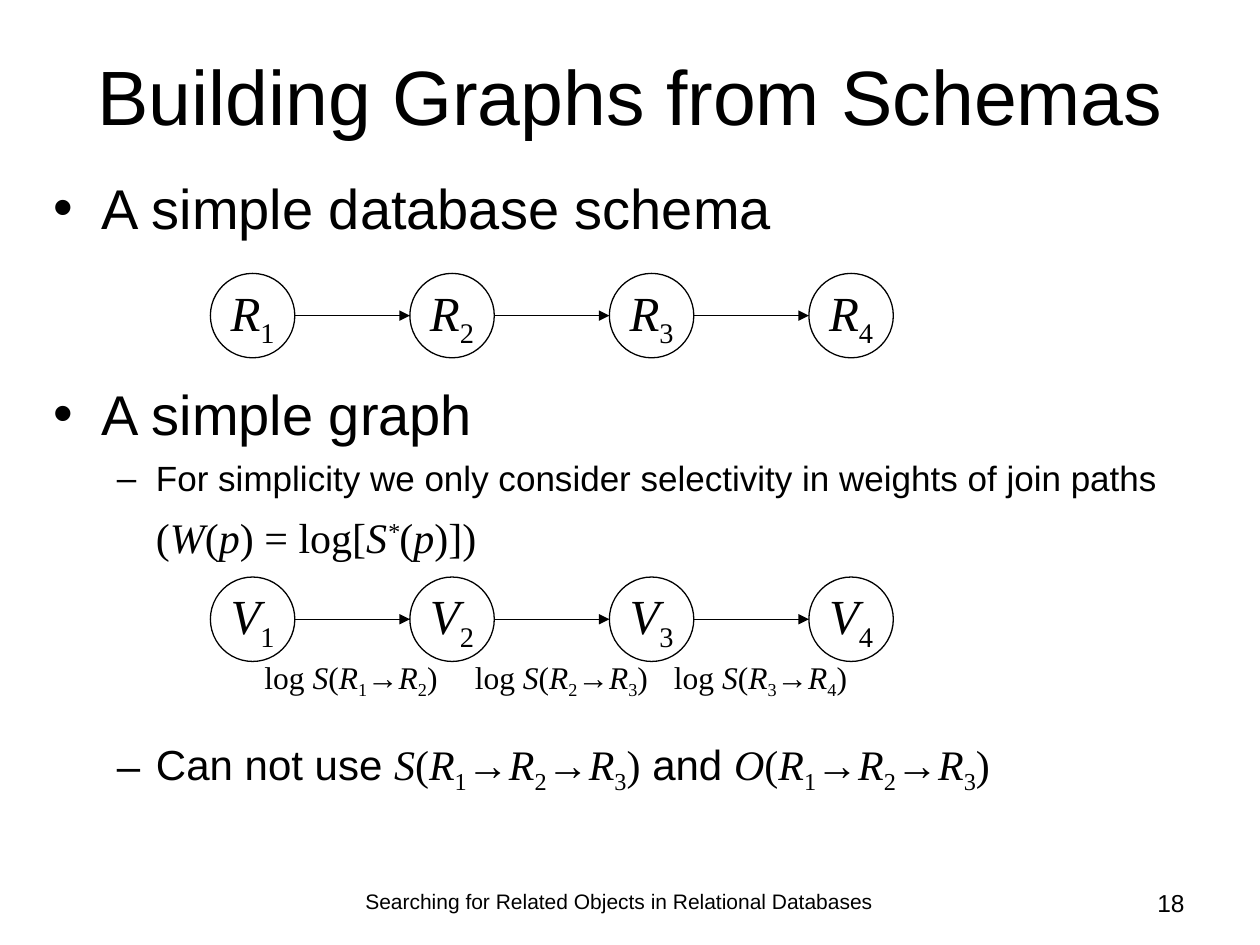
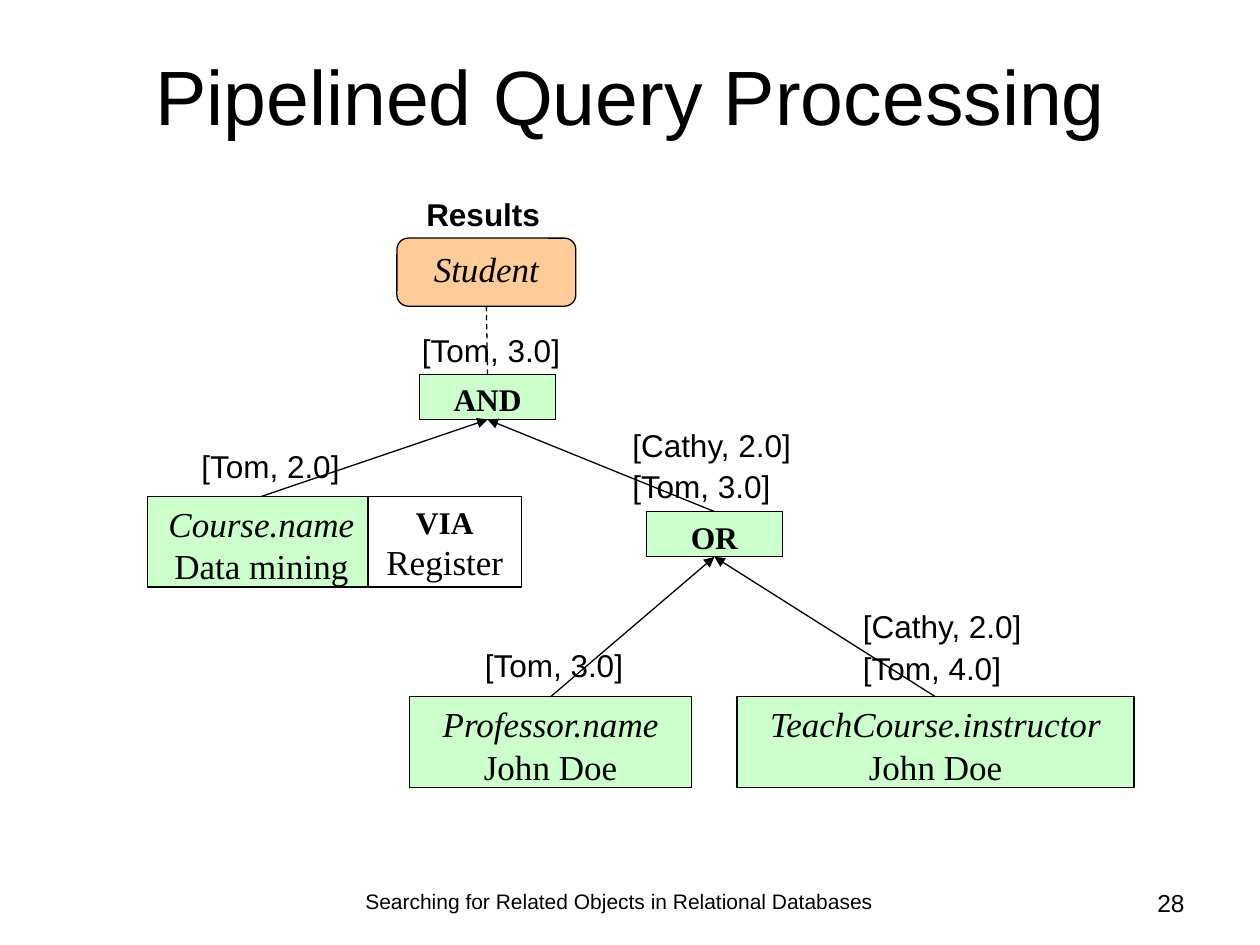
from dataclasses import dataclass
from lxml.etree import SubElement
from pptx import Presentation
from pptx.dml.color import RGBColor as Rgb
from pptx.enum.dml import MSO_LINE as Dash
from pptx.enum.shapes import MSO_CONNECTOR as Conn, MSO_SHAPE as Kind
from pptx.enum.text import MSO_ANCHOR as Anchor, MSO_AUTO_SIZE as Fit, PP_ALIGN as Align
from pptx.oxml.ns import qn
from pptx.util import Inches, Pt


@dataclass(frozen=True)
class Theme:
    """Colours, fonts and type sizes that the slides share."""
    ink: Rgb = Rgb(0, 0, 0)
    paper: Rgb = Rgb(255, 255, 255)
    green: Rgb = Rgb(0xCC, 0xFF, 0xCC)
    peach: Rgb = Rgb(0xFF, 0xCC, 0x99)
    sans: str = "Arial"
    serif: str = "Times New Roman"
    title: int = 44
    head: int = 32
    node: int = 28
    math: int = 24
    text: int = 20
    label: int = 18
    page: int = 14
    foot: int = 12
    rule: float = 0.75


T = Theme()
FOOTER = "Searching for Related Objects in Relational Databases"


def add_run(para, text, size, font, style=""):
    """Add a run; style letters: b bold, i italic, d lowered, u raised."""
    run = para.add_run()
    run.text = text
    face = run.font
    face.size, face.name, face.color.rgb = Pt(size), font, T.ink
    face.bold, face.italic = "b" in style, "i" in style
    shift = {"d": "-25000", "u": "30000"}.get(style[-1:])
    if shift:
        run._r.get_or_add_rPr().set("baseline", shift)


def fill_text(shape, lines, align=Align.LEFT, anchor=Anchor.TOP, wrap=True, gap=0):
    """Write lines of (text, size, font, style) runs into a shape."""
    frame = shape.text_frame
    frame.auto_size, frame.word_wrap = Fit.NONE, wrap
    frame.vertical_anchor = anchor
    for i, runs in enumerate(lines):
        para = frame.paragraphs[0] if i == 0 else frame.add_paragraph()
        para.alignment = align
        para.space_before = Pt(gap if i else 0)
        for run in runs:
            add_run(para, *run)


def add_text(slide, box, lines, **opts):
    """Place a text box."""
    shape = slide.shapes.add_textbox(*map(Inches, box))
    fill_text(shape, lines, **opts)
    return shape


def add_node(slide, kind, box, fill, lines, **opts):
    """Place a filled shape with a thin outline and centred text."""
    node = slide.shapes.add_shape(kind, *map(Inches, box))
    node.shadow.inherit = False
    node.fill.solid()
    node.fill.fore_color.rgb = fill
    node.line.color.rgb, node.line.width = T.ink, Pt(T.rule)
    fill_text(node, lines, align=Align.CENTER, **opts)
    return node


def add_line(slide, start=(0, 0), end=(0, 0), arrow=True):
    """Draw a straight line, with an arrowhead at its end or dashed."""
    line = slide.shapes.add_connector(Conn.STRAIGHT, *map(Inches, (*start, *end)))
    line.line.color.rgb, line.line.width = T.ink, Pt(T.rule)
    if arrow:
        SubElement(line.line._get_or_add_ln(), qn("a:tailEnd"), type="triangle")
    else:
        line.line.dash_style = Dash.DASH
    SubElement(line._element.spPr, qn("a:effectLst"))
    return line


def join(slide, low, high, arrow=True):
    """Join the top of the lower box to the bottom of the higher one."""
    line = add_line(slide, arrow=arrow)
    ends = (low, 0), (high, 2)
    first, last = ends if arrow else ends[::-1]
    line.begin_connect(*first)
    line.end_connect(*last)


def add_page(deck, title, number):
    """Add a slide with its title, footer and page number."""
    slide = deck.slides.add_slide(deck.slide_layouts[5])
    head = slide.shapes.title
    head.left, head.top, head.width, head.height = map(Inches, (0.17, 0.25, 9.67, 1))
    fill_text(head, [[(title, T.title, T.sans)]], align=Align.CENTER, anchor=Anchor.MIDDLE)
    add_text(slide, (2.5, 7, 4.83, 0.35), [[(FOOTER, T.foot, T.sans)]], align=Align.CENTER)
    add_text(slide, (7.42, 7, 2.08, 0.35), [[(number, T.page, T.sans)]], align=Align.RIGHT)
    return slide


def math_runs(size, *parts):
    """Turn (text, style) pairs into serif runs."""
    return [(text, size, T.serif, style) for text, style in parts]


def join_path(size, name, *steps):
    """Give the runs of a function over a path of relations."""
    parts = [(name, "i"), ("(", "")]
    for i, step in enumerate(steps):
        parts += [("→", "")] * (i > 0) + [("R", "i"), (str(step), "d")]
    return math_runs(size, *parts, (")", ""))


def add_points(slide, box):
    """Place the bullet text, leaving room for the two chains."""
    weight = math_runs(T.math, ("(", ""), ("W", "i"), ("(", ""), ("p", "i"), (") = log[", ""),
                       ("S", "i"), ("*", "iu"), ("(", ""), ("p", "i"), (")])", ""))
    limit = [("Can not use ", T.math, T.sans), *join_path(T.math, "S", 1, 2, 3),
             (" and ", T.math, T.sans), *join_path(T.math, "O", 1, 2, 3)]
    note = "For simplicity we only consider selectivity in weights of join paths"
    points = [
        ("•", 0, [("A simple database schema", T.head, T.sans)]),
        ("•", 79, [("A simple graph", T.head, T.sans)]),
        ("–", 6, [(note, T.text, T.sans)]),
        ("", 7, weight),
        ("–", 101, limit),
    ]
    body = add_text(slide, box, [runs for _, _, runs in points])
    for para, (mark, gap, _) in zip(body.text_frame.paragraphs, points):
        para.space_before = Pt(gap)
        left, hang = (0.38, 0.38) if mark == "•" else (0.81, 0.31 if mark else 0)
        props = para._p.get_or_add_pPr()
        props.set("marL", str(Inches(left)))
        props.set("indent", str(-Inches(hang)))
        if mark:
            SubElement(props, qn("a:buFont"), typeface=T.sans)
            SubElement(props, qn("a:buChar"), char=mark)


def add_chain(slide, box, name, count=4):
    """Spread numbered circles across the box and link them by arrows."""
    left, top, width, size = box
    pitch = (width - size) / (count - 1)
    spots = [left + pitch * i for i in range(count)]
    for i, x in enumerate(spots, 1):
        runs = math_runs(T.node, (name, "i"), (str(i), "d"))
        add_node(slide, Kind.OVAL, (x, top, size, size), T.paper, [runs],
                 anchor=Anchor.MIDDLE, wrap=False)
    mid = top + size / 2
    for x, after in zip(spots, spots[1:]):
        add_line(slide, (x + size, mid), (after, mid))


def add_weights(slide, box):
    """Place the weight of each edge under the graph."""
    left, top, width, height = box
    for i, shift in enumerate((0, 1.67, 3.25), 1):
        runs = [("log ", T.label, T.serif), *join_path(T.label, "S", i, i + 1)]
        add_text(slide, (left + shift, top, width, height), [runs])


def build_graphs(deck):
    """Build the slide on schemas and graphs."""
    slide = add_page(deck, "Building Graphs from Schemas", "18")
    add_points(slide, (0.33, 1.33, 9.5, 5.58))
    add_chain(slide, (1.67, 2.17, 5.42, 0.67), "R")
    add_chain(slide, (1.67, 4.58, 5.42, 0.67), "V")
    add_weights(slide, (2, 5.17, 1.75, 0.33))


def add_tree(slide, box):
    """Place the operator tree and its links."""
    left, top, _, _ = box

    def node(x, y, wide, high, *lines, fill=T.green, kind=Kind.RECTANGLE):
        """Place one node relative to the tree."""
        return add_node(slide, kind, (left + x, top + y, wide, high), fill, lines)

    def gate(x, y, word):
        """Place one logical operator."""
        return node(x, y, 1.08, 0.36, [(word, T.label, T.serif, "b")])

    def leaf(x, y, wide, field, value):
        """Place one field with the value sought in it."""
        return node(x, y, wide, 0.72, [(field, T.text, T.serif, "i")],
                    [(value, T.text, T.serif)])

    root = node(1.98, 0, 1.42, 0.54, [("Student", T.text, T.serif, "i")],
                fill=T.peach, kind=Kind.ROUNDED_RECTANGLE)
    both = gate(2.16, 1.08, "AND")
    course = leaf(0, 2.05, 1.81, "Course.name", "Data mining")
    prof = leaf(2.08, 3.64, 2.24, "Professor.name", "John Doe")
    node(1.75, 2.05, 1.22, 0.72, [("VIA", T.label, T.serif, "b")],
         [("Register", T.text, T.serif)], fill=T.paper)
    teach = leaf(4.68, 3.64, 3.15, "TeachCourse.instructor", "John Doe")
    either = gate(3.96, 2.17, "OR")
    join(slide, both, root, arrow=False)
    for low, high in ((course, both), (either, both), (prof, either), (teach, either)):
        join(slide, low, high)


def add_scores(slide, box):
    """Place the heading and the scored tuples beside the links."""
    left, top, _, _ = box
    add_text(slide, (left + 1.58, top - 0.39, 2.17, 0.46),
             [[("Results", T.label, T.sans, "b")]], align=Align.CENTER)
    scores = [
        (2.58, 3.19, ["[Tom, 3.0]"]),
        (5.58, 2.88, ["[Cathy, 2.0]", "[Tom, 4.0]"]),
        (3.75, 1.44, ["[Cathy, 2.0]", "[Tom, 3.0]"]),
        (0.33, 1.61, ["[Tom, 2.0]"]),
        (2.08, 0.69, ["[Tom, 3.0]"]),
    ]
    for x, y, words in scores:
        lines = [[(word, T.label, T.sans)] for word in words]
        high = 0.07 + 0.33 * len(words)
        add_text(slide, (left + x, top + y, 1.67, high), lines, gap=2.2)


def build_query(deck):
    """Build the slide on query processing."""
    slide = add_page(deck, "Pipelined Query Processing", "28")
    box = (1.17, 1.89, 7.83, 4.36)
    add_tree(slide, box)
    add_scores(slide, box)


def main():
    """Build and save the deck."""
    deck = Presentation()
    deck.slide_width, deck.slide_height = Inches(10), Inches(7.5)
    build_graphs(deck)
    build_query(deck)
    deck.save("out.pptx")


if __name__ == "__main__":
    main()
